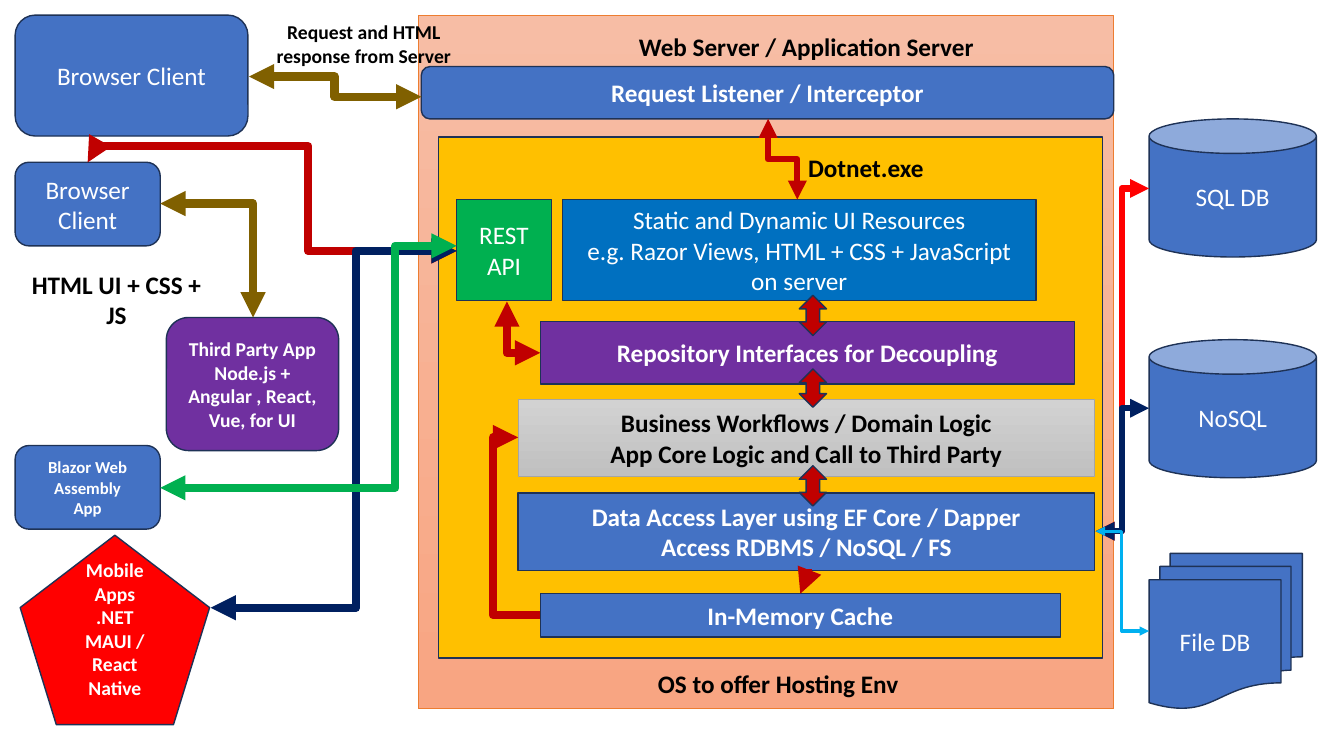
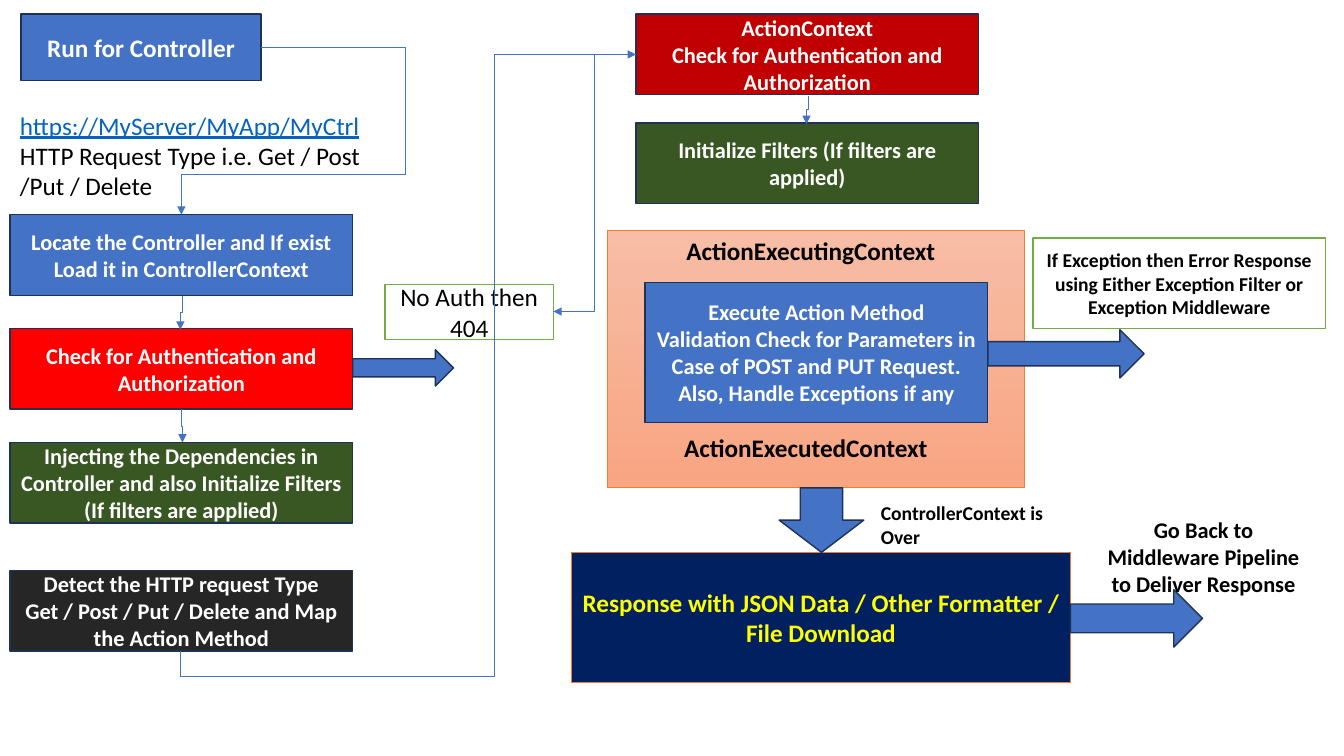
from dataclasses import dataclass
from typing import Any

from lxml.etree import SubElement
from pptx import Presentation
from pptx.dml.color import RGBColor
from pptx.enum.shapes import MSO_CONNECTOR, MSO_SHAPE
from pptx.enum.text import MSO_ANCHOR, PP_ALIGN
from pptx.oxml.ns import qn
from pptx.util import Emu, Pt

PX = 9144
FONT = "Calibri"
WHITE = RGBColor(0xFF, 0xFF, 0xFF)
BLACK = RGBColor(0x00, 0x00, 0x00)
BLUE = RGBColor(0x44, 0x72, 0xC4)
OUTLINE = RGBColor(0x1E, 0x32, 0x56)
ORANGE = RGBColor(0xED, 0x7D, 0x31)
GOLD = RGBColor(0xFF, 0xC0, 0x00)
OLIVE = RGBColor(0x80, 0x60, 0x00)
RED = RGBColor(0xFF, 0x00, 0x00)
CRIMSON = RGBColor(0xC0, 0x00, 0x00)
NAVY = RGBColor(0x00, 0x20, 0x60)
SKY = RGBColor(0x00, 0xB0, 0xF0)
AZURE = RGBColor(0x00, 0x70, 0xC0)
GREEN = RGBColor(0x00, 0xB0, 0x50)
FOREST = RGBColor(0x38, 0x57, 0x23)
LEAF = RGBColor(0x70, 0xAD, 0x47)
PURPLE = RGBColor(0x70, 0x30, 0xA0)
CHARCOAL = RGBColor(0x26, 0x26, 0x26)
YELLOW = RGBColor(0xFF, 0xFF, 0x00)
LINK = RGBColor(0x05, 0x63, 0xC1)
GRAY = RGBColor(0xA5, 0xA5, 0xA5)
PEACH = [RGBColor(0xF7, 0xBD, 0xA5), RGBColor(0xF8, 0xA5, 0x82)]
SILVER = [RGBColor(0xD2, 0xD2, 0xD2), RGBColor(0xC0, 0xC0, 0xC0)]


def px(n):
    """Turn px into EMU."""
    return Emu(round(n * PX))


def write(tf, text, size, color, bold, align):
    """Write one paragraph per line of text."""
    tf.word_wrap = True
    for i, line in enumerate(text.split("\n")):
        p = tf.paragraphs[0] if i == 0 else tf.add_paragraph()
        p.text = line
        p.alignment = align
        p.font.name = FONT
        p.font.size = Pt(size)
        p.font.bold = bold
        p.font.color.rgb = color


@dataclass
class Panel:
    """A region of a slide whose parts are placed from its top left corner."""

    s: Any
    x: int = 0
    y: int = 0

    def shape(self, box, fill, text="", size=18, color=WHITE, bold=True,
              kind=MSO_SHAPE.RECTANGLE, line=OUTLINE, weight=1):
        """Add a filled shape with centred text."""
        x, y, w, h = box
        sp = self.s.shapes.add_shape(kind, px(self.x + x), px(self.y + y), px(w), px(h))
        sp.shadow.inherit = False
        if isinstance(fill, list):
            sp.fill.gradient()
            sp.fill.gradient_angle = 270
            for stop, position, shade in zip(sp.fill.gradient_stops, (0, 1), fill):
                stop.position = position
                stop.color.rgb = shade
        else:
            sp.fill.solid()
            sp.fill.fore_color.rgb = fill
        sp.line.color.rgb = line
        sp.line.width = Pt(weight)
        if text:
            sp.text_frame.vertical_anchor = MSO_ANCHOR.MIDDLE
            write(sp.text_frame, text, size, color, bold, PP_ALIGN.CENTER)
        return sp

    def label(self, box, text, size=18, bold=True, align=PP_ALIGN.CENTER):
        """Add plain black text."""
        x, y, w, h = box
        sp = self.s.shapes.add_textbox(px(self.x + x), px(self.y + y), px(w), px(h))
        write(sp.text_frame, text, size, BLACK, bold, align)
        return sp

    def elbow(self, start, end, color, weight, bends=(), down=False, both=True):
        """Add a bent arrow; bends are the coordinates where it turns, down starts it vertically."""
        (x1, y1), (x2, y2) = start, end
        dx, dy = x2 - x1, y2 - y1
        cx, cy = self.x + (x1 + x2) / 2, self.y + (y1 + y2) / 2
        u, v = (dy, -dx) if down else (dx, dy)
        c = self.s.shapes.add_connector(
            MSO_CONNECTOR.ELBOW, px(cx - u / 2), px(cy - v / 2), px(cx + u / 2), px(cy + v / 2))
        c.line.color.rgb = color
        c.line.width = Pt(weight)
        spPr = c._element.spPr
        if down:
            spPr.find(qn("a:xfrm")).set("rot", "5400000")
        geom = spPr.find(qn("a:prstGeom"))
        geom.set("prst", f"bentConnector{len(bends) + 2}")
        guides = geom.find(qn("a:avLst"))
        if guides is None:
            guides = SubElement(geom, qn("a:avLst"))
        axes = [(x1, dx), (y1, dy)]
        if down:
            axes.reverse()
        for i, (bend, (origin, span)) in enumerate(zip(bends, axes), 1):
            ratio = round((bend - origin) / span * 100000)
            SubElement(guides, qn("a:gd"), name=f"adj{i}", fmla=f"val {ratio}")
        ln = spPr.find(qn("a:ln"))
        for tag in ("a:headEnd", "a:tailEnd") if both else ("a:tailEnd",):
            SubElement(ln, qn(tag), type="triangle")
        SubElement(spPr, qn("a:effectLst"))


def storage(s, x, y):
    """Draw the column of data stores."""
    stores = Panel(s, x, y)
    for i, name in enumerate(("SQL DB", "NoSQL")):
        stores.shape((0, 219 * i, 166, 137), BLUE, name, bold=False, kind=MSO_SHAPE.CAN)
    stores.shape((0, 431, 152, 154), BLUE, "File DB", bold=False,
                 kind=MSO_SHAPE.FLOWCHART_MULTIDOCUMENT)


def server(s, x, y):
    """Draw the web server with its application layers."""
    host = Panel(s, x, y)
    host.shape((0, 0, 690, 688), PEACH, line=ORANGE, weight=0.5)
    host.label((99, 11, 572, 40), "Web Server / Application Server")
    host.label((63, 643, 588, 40), "OS to offer Hosting Env")
    host.shape((20, 121, 659, 517), GOLD)
    host.shape((3, 51, 687, 52), BLUE, "Request Listener / Interceptor",
               kind=MSO_SHAPE.ROUNDED_RECTANGLE)
    host.label((158, 131, 572, 40), "Dotnet.exe")
    host.shape((99, 474, 572, 77), BLUE,
               "Data Access Layer using EF Core / Dapper\nAccess RDBMS / NoSQL / FS")
    host.shape((99, 381, 572, 77), SILVER,
               "Business Workflows / Domain Logic\nApp Core Logic and Call to Third Party",
               color=BLACK, line=GRAY, weight=0.5)
    host.shape((121, 304, 530, 62), PURPLE, "Repository Interfaces for Decoupling")
    host.shape((143, 183, 470, 100), AZURE,
               "Static and Dynamic UI Resources\n"
               "e.g. Razor Views, HTML + CSS + JavaScript on server", bold=False)
    for top, height in ((278, 40), (351, 38), (447, 40)):
        host.shape((378, top, 27, height), CRIMSON, kind=MSO_SHAPE.UP_DOWN_ARROW)
    host.shape((38, 183, 94, 100), GREEN, "REST\nAPI", bold=False)
    host.shape((121, 574, 516, 43), BLUE, "In-Memory Cache")
    host.elbow((347, 103), (376, 183), CRIMSON, 4.5, (143,), down=True)
    host.elbow((88, 284), (121, 335), CRIMSON, 6, down=True)
    host.elbow((386, 550), (379, 574), CRIMSON, 6, (562,), down=True, both=False)
    host.elbow((121, 595), (99, 419), CRIMSON, 6, (74,), both=False)


def clients(s, x, y):
    """Draw the column of client applications."""
    apps = Panel(s, x, y)
    for box, fill, text, size, bold in (
        ((0, 0, 231, 120), BLUE, "Browser Client", 18, False),
        ((0, 146, 144, 83), BLUE, "Browser Client", 18, False),
        ((150, 300, 171, 132), PURPLE,
         "Third Party App\nNode.js + Angular , React, Vue, for UI", 14, True),
        ((0, 427, 144, 83), BLUE, "Blazor Web Assembly\nApp", 12, True),
    ):
        apps.shape(box, fill, text, size, bold=bold, kind=MSO_SHAPE.ROUNDED_RECTANGLE)
    mobile = apps.shape((5, 516, 188, 188), RED, "Mobile Apps\n.NET MAUI / React Native", 14,
                        kind=MSO_SHAPE.REGULAR_PENTAGON)
    mobile.text_frame.margin_bottom = px(52)
    apps.label((247, 0, 198, 57), "Request and HTML response from Server", 14)
    apps.label((0, 247, 201, 71), "HTML UI + CSS + JS")
    apps.elbow((144, 187), (236, 300), OLIVE, 6)


def architecture(s):
    """Build the slide of clients, server and data stores."""
    storage(s, 1140, 118)
    server(s, 415, 15)
    clients(s, 15, 15)
    links = Panel(s)
    for y, color, weight in ((187, RED, 4.5), (405, NAVY, 4.5), (626, SKY, 2.25)):
        links.elbow((1087, 527), (1140, y), color, weight, (1113,))
    links.elbow((247, 76), (418, 96), OLIVE, 6, (332,))
    links.elbow((87, 161), (453, 249), CRIMSON, 6, (145, 306), down=True)
    links.elbow((209, 603), (453, 249), NAVY, 6, (353,))
    links.elbow((159, 484), (453, 244), GREEN, 6, (392,))


def controller(s, x, y):
    """Draw the steps that load the controller."""
    steps = Panel(s, x, y)
    steps.shape((11, 0, 238, 66), BLUE, "Run for Controller")
    request = steps.label(
        (0, 90, 396, 101),
        "https://MyServer/MyApp/MyCtrl\nHTTP Request Type i.e. Get / Post /Put / Delete",
        bold=False, align=PP_ALIGN.LEFT)
    address = request.text_frame.paragraphs[0].font
    address.color.rgb = LINK
    address.underline = True
    for top, fill, text in (
        (199, BLUE, "Locate the Controller and If exist Load it in ControllerContext"),
        (312, RED, "Check for Authentication and Authorization"),
        (425, FOREST, "Injecting the Dependencies in Controller and also Initialize Filters "
                      "(If filters are applied)"),
        (552, CHARCOAL, "Detect the HTTP request Type\n"
                        "Get / Post / Put / Delete and Map the Action Method"),
    ):
        steps.shape((0, top, 340, 80), fill, text, 16)
    steps.shape((340, 333, 100, 36), BLUE, kind=MSO_SHAPE.RIGHT_ARROW)
    steps.shape((372, 268, 167, 55), WHITE, "No Auth then 404", color=BLACK, bold=False, line=LEAF)
    steps.elbow((249, 33), (170, 199), BLUE, 0.5, (392, 159), both=False)
    steps.elbow((171, 280), (169, 313), BLUE, 0.5, (296,), down=True, both=False)
    steps.elbow((170, 392), (171, 425), BLUE, 0.5, (409,), down=True, both=False)


def action(s, x, y):
    """Draw the steps that run the action and send the response."""
    steps = Panel(s, x, y)
    steps.shape((36, 215, 413, 255), PEACH, line=ORANGE, weight=0.5)
    for top, height, left, fill, text in (
        (0, 80, 64, CRIMSON, "ActionContext\nCheck for Authentication and Authorization"),
        (108, 80, 64, FOREST, "Initialize Filters (If filters are applied)"),
        (266, 139, 73, BLUE, "Execute Action Method\nValidation Check for Parameters in Case of "
                             "POST and PUT Request. Also, Handle Exceptions if any"),
    ):
        steps.shape((left, top, 340, height), fill, text, 16)
    steps.elbow((235, 81), (233, 109), BLUE, 0.5, (95,), down=True, both=False)
    steps.label((54, 215, 367, 40), "ActionExecutingContext")
    steps.label((49, 410, 367, 40), "ActionExecutedContext")
    steps.shape((458, 222, 290, 90), WHITE,
                "If Exception then Error Response using Either Exception Filter or "
                "Exception Middleware", 14, BLACK, line=LEAF)
    steps.shape((0, 534, 495, 129), NAVY,
                "Response with JSON Data / Other Formatter / File Download",
                color=YELLOW, line=ORANGE, weight=0.5)
    for box, kind in (
        ((413, 313, 155, 48), MSO_SHAPE.RIGHT_ARROW),
        ((206, 470, 84, 64), MSO_SHAPE.DOWN_ARROW),
        ((495, 571, 131, 57), MSO_SHAPE.RIGHT_ARROW),
    ):
        steps.shape(box, BLUE, kind=kind)
    steps.label((521, 493, 212, 91), "Go Back to Middleware Pipeline to Deliver Response", 16)
    steps.label((297, 478, 193, 57), "ControllerContext is Over", 14, align=PP_ALIGN.LEFT)


def request_flow(s):
    """Build the slide of the controller request flow."""
    controller(s, 10, 14)
    action(s, 567, 14)
    links = Panel(s)
    links.elbow((179, 646), (631, 54), BLUE, 0.5, (671, 490), down=True, both=False)
    links.elbow((631, 54), (549, 309), BLUE, 0.5, (590,), both=False)


def main():
    """Build and save the presentation."""
    prs = Presentation()
    prs.slide_width, prs.slide_height = Emu(12192000), Emu(6858000)
    for build in (architecture, request_flow):
        build(prs.slides.add_slide(prs.slide_layouts[6]))
    prs.save("out.pptx")


if __name__ == "__main__":
    main()
